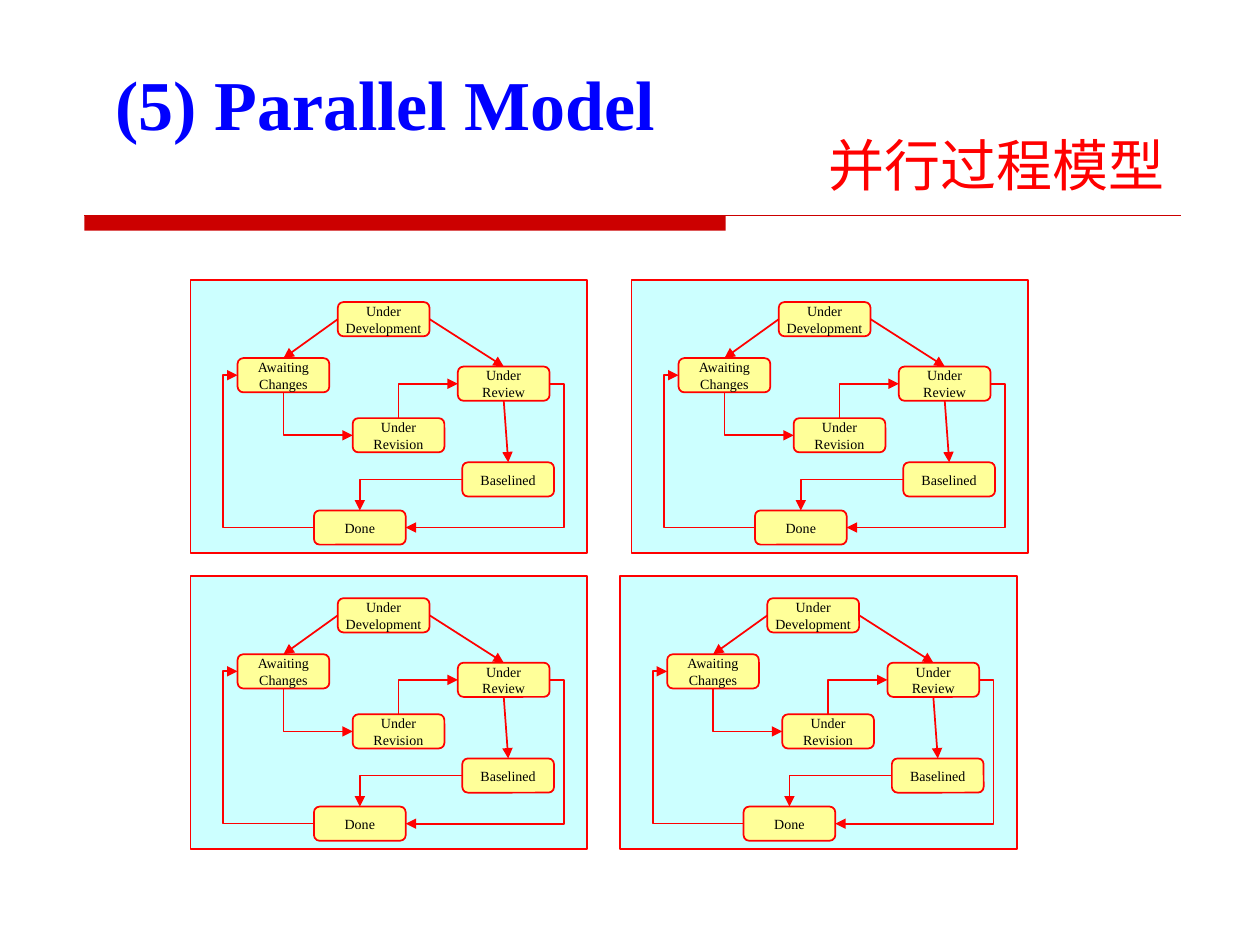
from pptx import Presentation
from pptx.dml.color import RGBColor
from pptx.enum.shapes import MSO_CONNECTOR, MSO_SHAPE
from pptx.enum.text import MSO_ANCHOR, PP_ALIGN
from pptx.oxml.ns import qn
from pptx.util import Cm, Pt
from lxml import etree

RECT, ROUND = MSO_SHAPE.RECTANGLE, MSO_SHAPE.ROUNDED_RECTANGLE
LINE, ELBOW = MSO_CONNECTOR.STRAIGHT, MSO_CONNECTOR.ELBOW
MIDDLE, CENTER = MSO_ANCHOR.MIDDLE, PP_ALIGN.CENTER
TOP, LEFT, BOTTOM, RIGHT = range(4)

COLORS = {"title": "0000FF", "red": "FF0000", "rule": "CC0000",
          "panel": "CCFFFF", "node": "FFFF99", "text": "000000"}
SERIF = "Times New Roman"
NODE_W, NODE_H = 1.85, 0.69

PANELS = [(3.84, 5.64), (12.73, 5.64), (3.84, 11.61), (12.5, 11.61)]

# State: lines of text, offset from the panel's corner in cm
STATES = {
    "dev": (["Under", "Development"], 2.97, 0.45),
    "wait": (["Awaiting", "Changes"], 0.95, 1.58),
    "review": (["Under", "Review"], 5.39, 1.75),
    "revise": (["Under", "Revision"], 3.27, 2.79),
    "base": (["Baselined"], 5.48, 3.68),
    "done": (["Done"], 2.49, 4.65),
}

STRAIGHT = [("dev", LEFT, "wait", TOP), ("dev", RIGHT, "review", TOP),
            ("review", BOTTOM, "base", TOP)]
CORNERS = [("base", LEFT, "done", TOP), ("wait", BOTTOM, "revise", LEFT),
           ("revise", TOP, "review", LEFT)]
LOOPS = [("done", LEFT, "wait", LEFT, 118800),
         ("review", RIGHT, "done", RIGHT, -10000)]


def rgb(name):
    return RGBColor.from_string(COLORS[name])


def add_run(para, text, size, color, font, bold=False):
    run = para.add_run()
    run.text = text
    run.font.size, run.font.name, run.font.bold = Pt(size), font, bold
    run.font.color.rgb = rgb(color)


def add_box(shapes, kind, x, y, w, h, fill, line="red"):
    box = shapes.add_shape(kind, Cm(x), Cm(y), Cm(w), Cm(h))
    box.shadow.inherit = False
    box.fill.solid()
    box.fill.fore_color.rgb = rgb(fill)
    if line:
        box.line.color.rgb = rgb(line)
        box.line.width = Pt(1)
    else:
        box.line.fill.background()
    return box


def add_node(shapes, lines, x, y):
    node = add_box(shapes, ROUND, x, y, NODE_W, NODE_H, "node")
    frame = node.text_frame
    frame.word_wrap = False
    frame.vertical_anchor = MIDDLE
    for i, text in enumerate(lines):
        para = frame.add_paragraph() if i else frame.paragraphs[0]
        para.alignment = CENTER
        add_run(para, text, 8, "text", SERIF)
    return node


def style_line(link, color, width):
    link.line.color.rgb = rgb(color)
    link.line.width = Pt(width)
    etree.SubElement(link._element.spPr, qn("a:effectLst"))


def add_arrow(shapes, kind, start, out, end, into):
    link = shapes.add_connector(kind, 0, 0, 0, 0)
    link.begin_connect(start, out)
    link.end_connect(end, into)
    style_line(link, "red", 1)
    tail = etree.SubElement(link.line._get_or_add_ln(), qn("a:tailEnd"))
    tail.set("type", "triangle")
    return link


def add_corner(shapes, start, out, end, into):
    """Arrow with one bend; turned when it leaves up or down."""
    link = add_arrow(shapes, ELBOW, start, out, end, into)
    props = link._element.spPr
    props.find(qn("a:prstGeom")).set("prst", "bentConnector2")
    if out in (TOP, BOTTOM):
        w, h = link.width, link.height
        link.left += (w - h) // 2
        link.top += (h - w) // 2
        link.width, link.height = h, w
        frame = props.find(qn("a:xfrm"))
        frame.set("rot", "16200000")
        frame.set("flipH", "1" if out == BOTTOM else "0")
        frame.set("flipV", "0")


def add_loop(shapes, start, out, end, into, bend):
    """Arrow that swings outside both of its nodes."""
    link = add_arrow(shapes, ELBOW, start, out, end, into)
    geom = link._element.spPr.find(qn("a:prstGeom"))
    guides = geom.find(qn("a:avLst"))
    if guides is None:
        guides = etree.SubElement(geom, qn("a:avLst"))
    guide = etree.SubElement(guides, qn("a:gd"))
    guide.set("name", "adj1")
    guide.set("fmla", f"val {bend}")


def add_panel(slide, x, y):
    shapes = slide.shapes.add_group_shape().shapes
    add_box(shapes, RECT, x, y, 8, 5.51, "panel")
    nodes = {key: add_node(shapes, lines, x + dx, y + dy)
             for key, (lines, dx, dy) in STATES.items()}
    for start, out, end, into in STRAIGHT:
        add_arrow(shapes, LINE, nodes[start], out, nodes[end], into)
    for start, out, end, into in CORNERS:
        add_corner(shapes, nodes[start], out, nodes[end], into)
    for start, out, end, into, bend in LOOPS:
        add_loop(shapes, nodes[start], out, nodes[end], into, bend)


def add_text(slide, x, y, w, h, text, size, color, font, bold=False):
    frame = slide.shapes.add_textbox(Cm(x), Cm(y), Cm(w), Cm(h)).text_frame
    frame.word_wrap = False
    add_run(frame.paragraphs[0], text, size, color, font, bold)
    return frame


def add_rule(slide):
    add_box(slide.shapes, RECT, 1.7, 4.34, 12.93, 0.31, "rule", None)
    line = slide.shapes.add_connector(LINE, Cm(1.7), Cm(4.34), Cm(23.8), Cm(4.34))
    style_line(line, "rule", 0.75)


def main():
    deck = Presentation()
    deck.slide_width, deck.slide_height = Cm(25.4), Cm(19.05)
    slide = deck.slides.add_slide(deck.slide_layouts[6])
    add_rule(slide)
    for x, y in PANELS:
        add_panel(slide, x, y)
    title = add_text(slide, 2.08, 0.76, 11.4, 2.29, "(5) Parallel Model",
                     40, "title", SERIF, True)
    title.paragraphs[0].line_spacing = 1.2
    label = add_text(slide, 16.46, 2.51, 7.59, 1.6, "并行过程模型",
                     32, "red", "Arial")
    label.vertical_anchor = MIDDLE
    deck.save("out.pptx")


if __name__ == "__main__":
    main()
